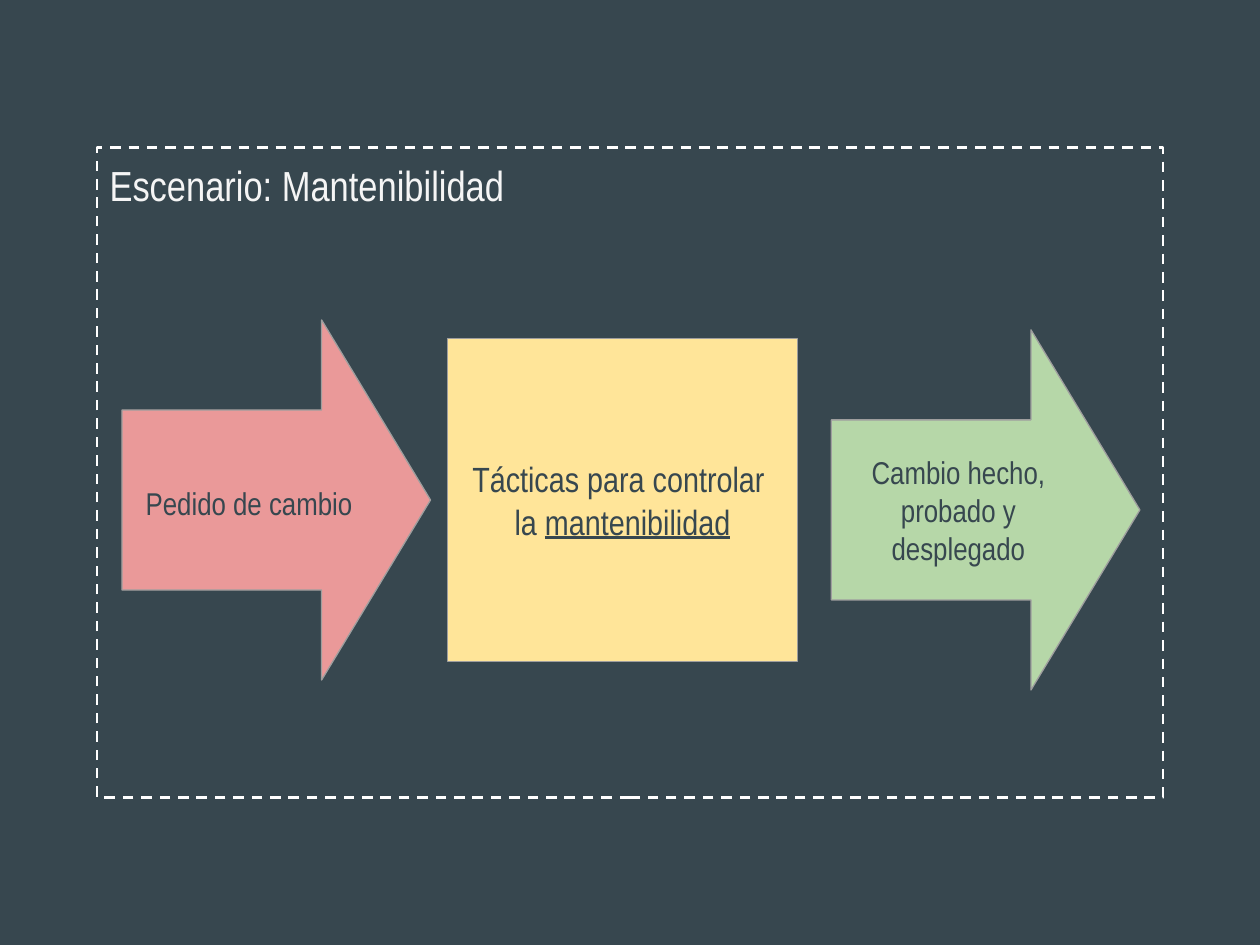
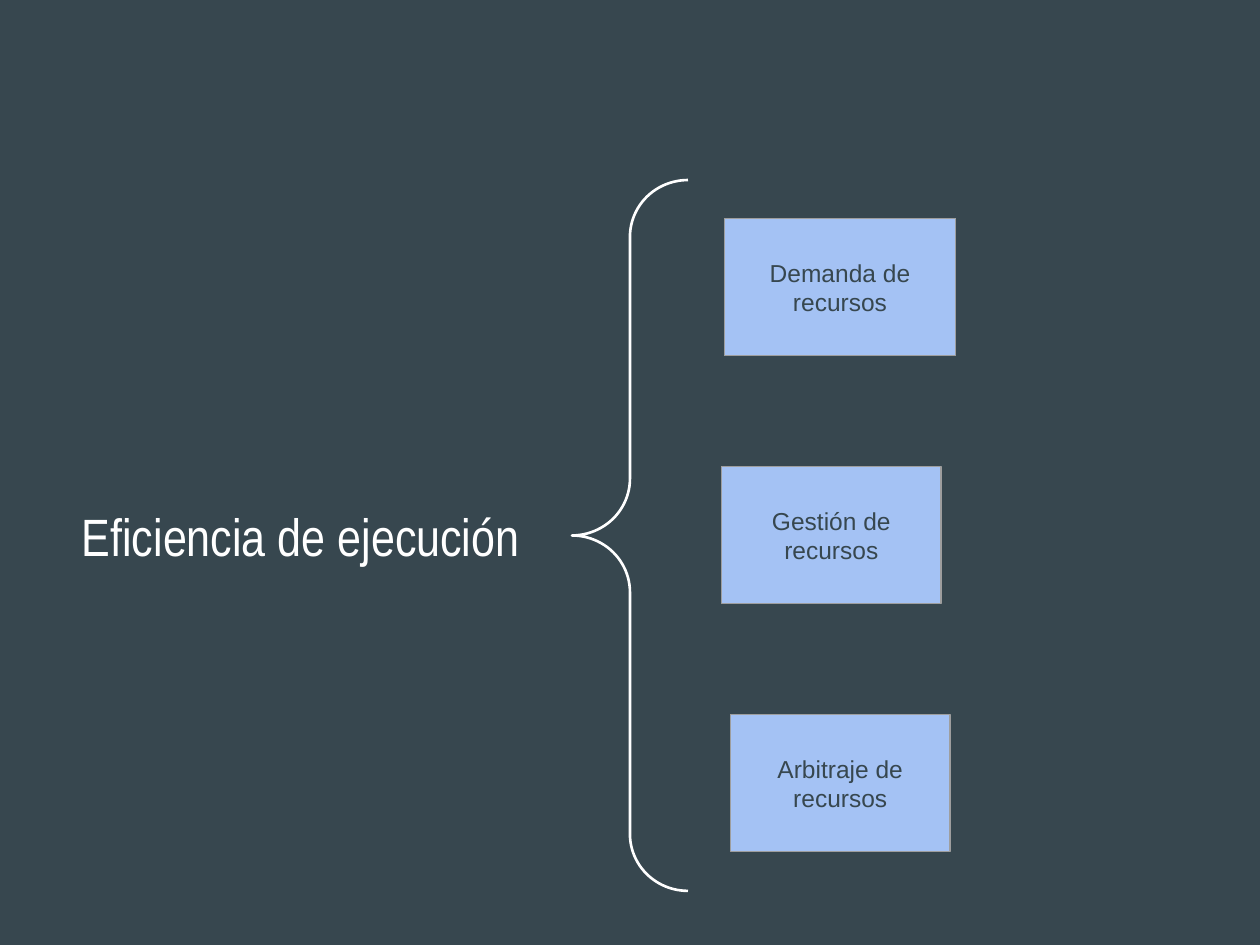
from pptx import Presentation
from pptx.dml.color import RGBColor
from pptx.enum.dml import MSO_LINE as Dash
from pptx.enum.shapes import MSO_SHAPE as Form
from pptx.enum.text import MSO_ANCHOR as Anchor, MSO_AUTO_SIZE as Fit, PP_ALIGN as Align
from pptx.util import Cm, Pt

HUES = {
    "back": "37474F", "white": "FFFFFF", "pale": "F5F5F5", "edge": "9E9E9E",
    "red": "EA9999", "gold": "FFE599", "green": "B6D7A8", "blue": "A4C2F4",
}
NARROW = "Arial Narrow"
BLANK, TITLE = 6, 5


def hue(name):
    return RGBColor.from_string(HUES[name])


class Deck:
    def __init__(self):
        self.prs = Presentation()
        self.prs.slide_width, self.prs.slide_height = Cm(25.4), Cm(19.05)
        fill = self.prs.slide_master.background.fill
        fill.solid()
        fill.fore_color.rgb = hue("back")

    def add(self, layout):
        self.slide = self.prs.slides.add_slide(self.prs.slide_layouts[layout])

    def label(self, shape, text, size, font=NARROW, color="back",
              align=Align.CENTER, anchor=Anchor.MIDDLE, space=None):
        """Fill a shape with one paragraph per line; _words_ are underlined."""
        frame = shape.text_frame
        frame.word_wrap, frame.auto_size = True, Fit.NONE
        frame.vertical_anchor = anchor
        frame.margin_left = frame.margin_right = Cm(0.25)
        frame.margin_top = frame.margin_bottom = Cm(0.25)
        for i, line in enumerate(text.split("\n")):
            par = frame.add_paragraph() if i else frame.paragraphs[0]
            par.alignment, par.line_spacing = align, space
            par.font.name, par.font.size = font, Pt(size)
            par.font.color.rgb = hue(color)
            for j, part in enumerate(filter(None, line.split("_"))):
                run = par.add_run()
                run.text = part
                if j % 2:
                    run.font.underline = True

    def title(self, text, *box):
        shape = self.slide.shapes.title
        shape.left, shape.top, shape.width, shape.height = map(Cm, box)
        self.label(shape, text, 30, color="white", align=Align.LEFT)

    def shape(self, form, *box, fill=None, line="edge", width=0.75):
        shape = self.slide.shapes.add_shape(form, *map(Cm, box))
        shape.shadow.inherit = False
        if fill:
            shape.fill.solid()
            shape.fill.fore_color.rgb = hue(fill)
        else:
            shape.fill.background()
        shape.line.color.rgb = hue(line)
        shape.line.width = Pt(width)
        return shape

    def frame(self, text, *box):
        shape = self.shape(Form.RECTANGLE, *box, line="white", width=1.5)
        shape.line.dash_style = Dash.DASH
        self.label(shape, text, 24, color="pale", align=Align.LEFT, anchor=Anchor.TOP)

    def arrow(self, text, left, top, fill, space=None):
        shape = self.shape(Form.RIGHT_ARROW, left, top, 6.22, 7.26, fill=fill)
        shape.adjustments[1] = 0.353
        self.label(shape, text, 18, space=space)

    def block(self, text, *box, fill, size, font=NARROW):
        shape = self.shape(Form.RECTANGLE, *box, fill=fill)
        self.label(shape, text, size, font)

    def brace(self, *box):
        shape = self.shape(Form.LEFT_BRACE, *box, line="white", width=1.5)
        shape.adjustments[0] = 0.489


def scene(deck):
    deck.add(BLANK)
    deck.frame("Escenario: Mantenibilidad", 1.96, 2.97, 21.49, 13.11)
    deck.arrow("Pedido de cambio", 2.46, 6.45, "red", 1.15)
    deck.block("Tácticas para controlar \nla _mantenibilidad_",
               9.02, 6.83, 7.06, 6.5, fill="gold", size=20)
    deck.arrow("Cambio hecho, probado y desplegado", 16.76, 6.65, "green")


def tactics(deck):
    deck.add(TITLE)
    deck.title("Eficiencia de ejecución", 1.4, 9.8, 9.45, 1.98)
    deck.brace(11.53, 3.63, 2.34, 14.33)
    groups = [("Demanda", 14.6, 4.67), ("Gestión", 14.55, 4.42), ("Arbitraje", 14.73, 4.42)]
    for i, (name, left, width) in enumerate(groups):
        deck.block(f"{name} de recursos", left, 4.4 + 5 * i, width, 2.77,
                   fill="blue", size=14, font="Arial")


def main():
    deck = Deck()
    scene(deck)
    tactics(deck)
    deck.prs.save("out.pptx")


if __name__ == "__main__":
    main()
